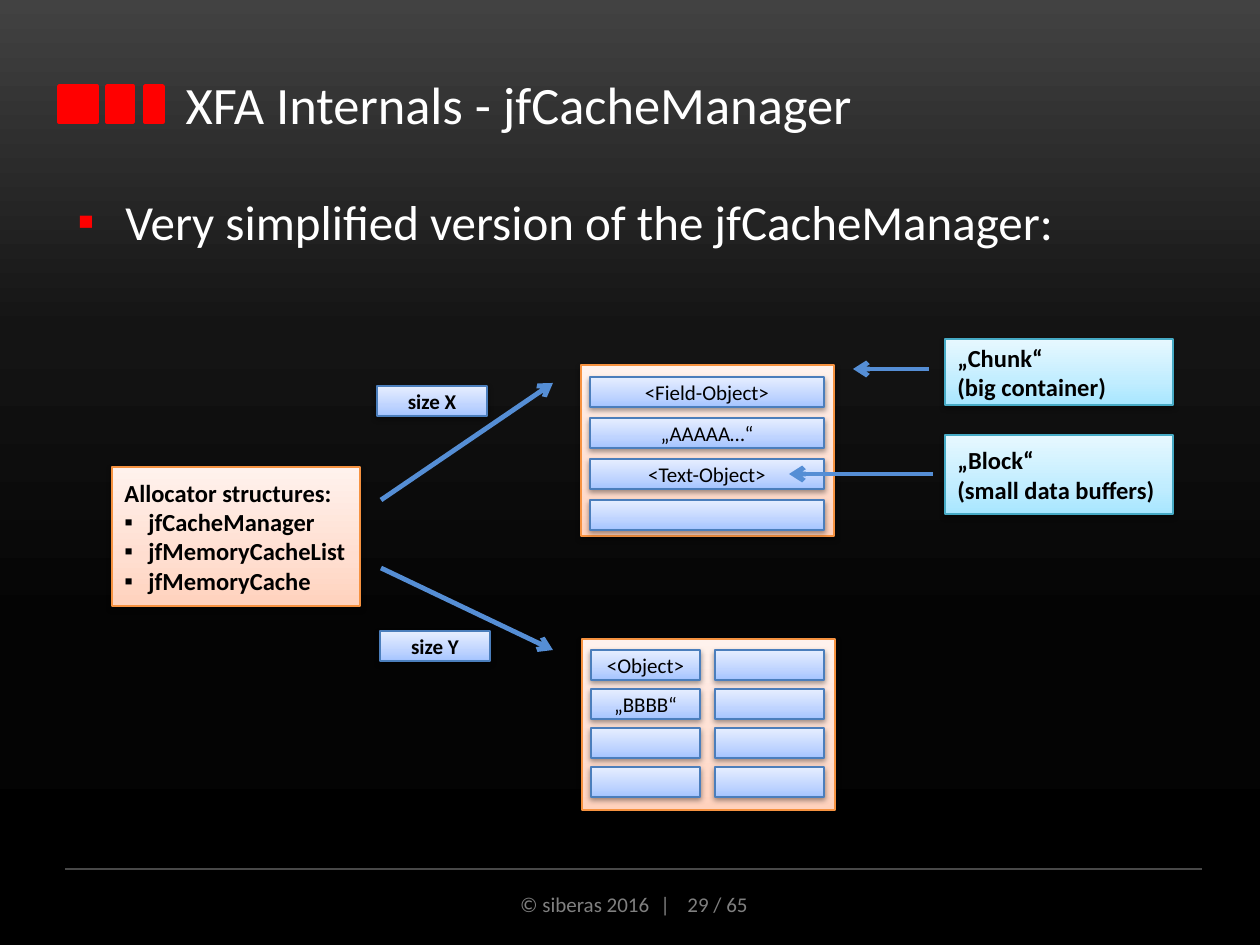
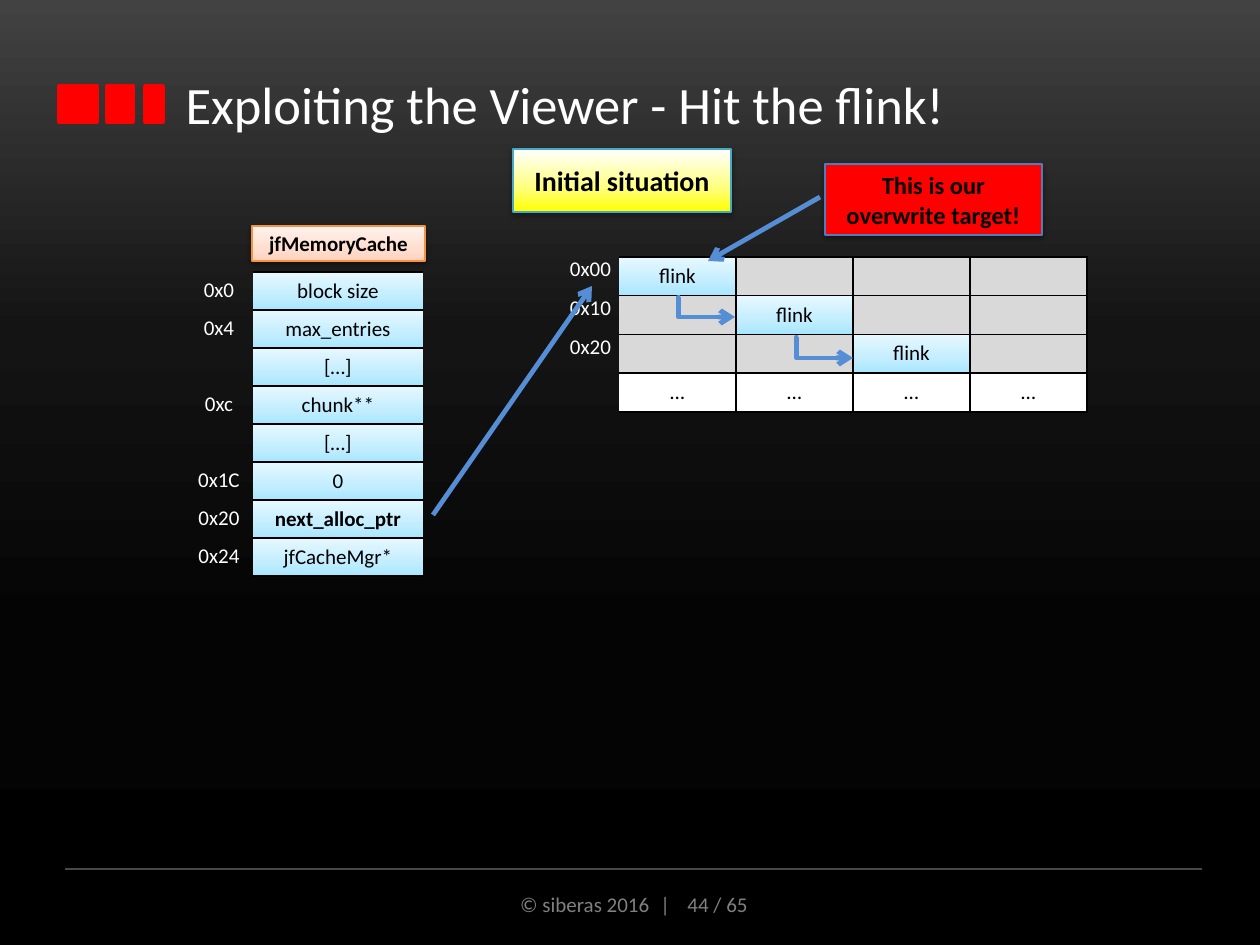
from lxml import etree
from pptx import Presentation
from pptx.dml.color import RGBColor
from pptx.enum.shapes import MSO_CONNECTOR, MSO_SHAPE
from pptx.enum.text import MSO_ANCHOR, PP_ALIGN
from pptx.oxml.ns import qn
from pptx.util import Emu, Pt

PX = 914400 / 126
FONT = "Calibri"
NO_GRID_STYLE = "{2D5ABB26-0587-4C30-8999-92F81FD0307C}"

# Solid colours
BLACK = RGBColor(0x00, 0x00, 0x00)
WHITE = RGBColor(0xFF, 0xFF, 0xFF)
RED = RGBColor(0xFF, 0x00, 0x00)
GRAY = RGBColor(0x80, 0x80, 0x80)
RULE_GRAY = RGBColor(0x48, 0x48, 0x48)
CELL_GRAY = RGBColor(0xD9, 0xD9, 0xD9)
ARROW_BLUE = RGBColor(0x55, 0x8E, 0xD5)
ORANGE_LINE = RGBColor(0xF6, 0x92, 0x40)
BLUE_LINE = RGBColor(0x4B, 0x7E, 0xBC)
CYAN_LINE = RGBColor(0x46, 0xAA, 0xC5)

# Gradients: (position in percent, colour)
BACKDROP = [(0, RGBColor(0x42, 0x42, 0x42)), (35, RGBColor(0x14, 0x14, 0x14)),
            (67, RGBColor(0x04, 0x04, 0x04)), (100, BLACK)]
PEACH = [(0, RGBColor(0xFF, 0xD2, 0xBD)), (35, RGBColor(0xFF, 0xDE, 0xD0)),
         (100, RGBColor(0xFF, 0xF2, 0xED))]
BLUE = [(0, RGBColor(0xA4, 0xC4, 0xFF)), (35, RGBColor(0xBF, 0xD4, 0xFF)),
        (100, RGBColor(0xE6, 0xEE, 0xFF))]
CYAN = [(0, RGBColor(0xA7, 0xE6, 0xFF)), (35, RGBColor(0xC1, 0xED, 0xFF)),
        (100, RGBColor(0xE7, 0xF8, 0xFF))]
YELLOW = [(0, RGBColor(0xFF, 0xFF, 0x00)), (39, RGBColor(0xFF, 0xFF, 0x80)),
          (100, WHITE)]


def px(n):
    return Emu(round(n * PX))


def sub(parent, tag, **attrs):
    return etree.SubElement(parent, qn(tag), attrs)


# Fills and text
def paint(fill, owner, colour, angle=90):
    """Fill with one colour, or with a list of gradient stops."""
    if isinstance(colour, RGBColor):
        fill.solid()
        fill.fore_color.rgb = colour
        return
    fill.gradient()
    fill.gradient_angle = angle
    stops = next(owner.iter(qn("a:gsLst")))
    for stop in list(stops):
        stops.remove(stop)
    for pos, rgb in colour:
        gs = sub(stops, "a:gs", pos=str(pos * 1000))
        sub(gs, "a:srgbClr", val=str(rgb))


def add_bullet(p, indent, colour):
    pPr = p._p.get_or_add_pPr()
    pPr.set("marL", str(px(indent)))
    pPr.set("indent", str(-px(indent)))
    sub(sub(pPr, "a:buClr"), "a:srgbClr", val=str(colour))
    sub(pPr, "a:buFont", typeface="Arial")
    sub(pPr, "a:buChar", char="▪")


def format_runs(p, size, colour, bold=False):
    for r in p.runs:
        r.font.name = FONT
        r.font.size = Pt(size)
        r.font.bold = bold
        r.font.color.rgb = colour


def write(tf, lines, size, colour, bold=False, align=PP_ALIGN.LEFT):
    tf.word_wrap = True
    tf.text = "\n".join(lines)
    for p in tf.paragraphs:
        p.alignment = align
        format_runs(p, size, colour, bold)


# Shapes and lines
def add_box(slide, x, y, w, h, fill, line, lines=(), size=12, bold=False,
            align=PP_ALIGN.CENTER, shadow=True, line_width=0.75):
    sp = slide.shapes.add_shape(MSO_SHAPE.RECTANGLE, px(x), px(y), px(w), px(h))
    paint(sp.fill, sp._element, fill)
    sp.line.color.rgb = line
    sp.line.width = Pt(line_width)
    sp.shadow.inherit = False
    if shadow:
        effects = sp._element.spPr.find(qn("a:effectLst"))
        outer = sub(effects, "a:outerShdw", blurRad="40000", dist="20000",
                    dir="5400000", rotWithShape="0")
        sub(sub(outer, "a:srgbClr", val=str(BLACK)), "a:alpha", val="38000")
    if lines:
        write(sp.text_frame, lines, size, BLACK, bold, align)
        sp.text_frame.vertical_anchor = MSO_ANCHOR.MIDDLE
    return sp


def add_block(slide, x, y, w, text="", bold=False):
    add_box(slide, x, y, w, 30, BLUE, BLUE_LINE, [text] if text else [], bold=bold)


def add_line(slide, start, end, colour, width, kind=MSO_CONNECTOR.STRAIGHT):
    cxn = slide.shapes.add_connector(kind, *(px(n) for n in (*start, *end)))
    cxn.line.color.rgb = colour
    cxn.line.width = Pt(width)
    sub(cxn._element.spPr, "a:effectLst")
    return cxn


def add_arrow(slide, start, end, kind=MSO_CONNECTOR.STRAIGHT):
    cxn = add_line(slide, start, end, ARROW_BLUE, 2.75, kind)
    sub(cxn.line._get_or_add_ln(), "a:tailEnd", type="arrow")
    return cxn


def add_elbow_arrow(slide, start, end):
    """Go straight down from the start, then right to the end."""
    cxn = add_arrow(slide, start, end, MSO_CONNECTOR.ELBOW)
    geom = cxn._element.spPr.find(qn("a:prstGeom"))
    guides = geom.find(qn("a:avLst"))
    if guides is None:
        guides = sub(geom, "a:avLst")
    sub(guides, "a:gd", name="adj1", fmla="val -2800")


# Tables
def add_grid(slide, x, y, widths, row_height, row_count):
    frame = slide.shapes.add_table(row_count, len(widths), px(x), px(y),
                                   px(sum(widths)), px(row_height * row_count))
    table = frame.table
    table.first_row = table.horz_banding = False
    table._tbl.tblPr.find(qn("a:tableStyleId")).text = NO_GRID_STYLE
    for column, width in zip(table.columns, widths):
        column.width = px(width)
    for row in table.rows:
        row.height = px(row_height)
    return table


def set_cell(cell, text, inset, fill=None, borders="", bold=False):
    """Without a fill the cell is a white offset label."""
    cell.margin_left = cell.margin_right = px(inset)
    cell.margin_top = cell.margin_bottom = px(inset)
    cell.vertical_anchor = MSO_ANCHOR.TOP if fill is None else MSO_ANCHOR.MIDDLE
    p = cell.text_frame.paragraphs[0]
    p.text = text
    p.alignment = PP_ALIGN.CENTER
    format_runs(p, 12, WHITE if fill is None else BLACK, bold)
    if not text:
        sub(p._p, "a:endParaRPr", sz="1200")
    tcPr = cell._tc.get_or_add_tcPr()
    for side in borders:
        ln = sub(tcPr, f"a:ln{side}", w="12700")
        sub(sub(ln, "a:solidFill"), "a:srgbClr", val=str(BLACK))
    if fill is None:
        cell.fill.background()
    else:
        paint(cell.fill, cell._tc, fill)


# Parts that every slide has
def add_base_slide(prs, title, number):
    slide = prs.slides.add_slide(prs.slide_layouts[5])
    for x, w in ((59, 38), (107, 26), (145, 18)):
        add_box(slide, x, 86, w, 36, RED, RED, shadow=False, line_width=2)
    add_line(slide, (65, 869), (1202, 869), RULE_GRAY, 0.75)

    footer = slide.shapes.add_textbox(px(425), px(885), px(418), px(38))
    footer.text_frame.word_wrap = True
    p = footer.text_frame.paragraphs[0]
    p.alignment = PP_ALIGN.CENTER
    for text in ("© siberas 2016", " | ", f"{number} / 65"):
        p.add_run().text = text
    format_runs(p, 12, GRAY)
    p.runs[1]._r.get_or_add_rPr().set("spc", "360")

    sp = slide.shapes.title
    sp.left, sp.top, sp.width, sp.height = px(173), px(49), px(1019), px(110)
    write(sp.text_frame, [title], 30, WHITE)
    sp.text_frame.vertical_anchor = MSO_ANCHOR.MIDDLE
    return slide


def build_cache_manager(prs):
    slide = add_base_slide(prs, "XFA Internals - jfCacheManager", 29)
    body = slide.shapes.add_textbox(px(65), px(185), px(1137), px(665))
    write(body.text_frame, ["Very simplified version of the jfCacheManager:"], 28, WHITE)
    add_bullet(body.text_frame.paragraphs[0], 48, RED)

    # Allocator
    allocator = add_box(
        slide, 112, 467, 248, 139, PEACH, ORANGE_LINE,
        ["Allocator structures:", "jfCacheManager", "jfMemoryCacheList", "jfMemoryCache"],
        14, True, PP_ALIGN.LEFT)
    for p in allocator.text_frame.paragraphs[1:]:
        add_bullet(p, 24, BLACK)
    add_arrow(slide, (381, 500), (553, 383))
    add_arrow(slide, (381, 568), (553, 650))

    # Chunk for size Y: two columns of blocks
    add_box(slide, 582, 639, 253, 171, PEACH, ORANGE_LINE)
    labels = {(0, 0): "<Object>", (1, 0): "„BBBB“"}
    for row in range(4):
        for col in range(2):
            add_block(slide, 591 + 124 * col, 650 + 39 * row, 109,
                      labels.get((row, col), ""))

    # Chunk for size X: one column of blocks
    add_box(slide, 581, 365, 253, 171, PEACH, ORANGE_LINE)
    for row, text in enumerate(("<Field-Object>", "„AAAAA…“", "<Text-Object>", "")):
        add_block(slide, 590, 377 + 41 * row, 234, text)

    # Explanations
    for y, h, lines, start, end in (
            (339, 66, ["„Chunk“", "(big container)"], (929, 369), (853, 369)),
            (435, 79, ["„Block“", "(small data buffers)"], (933, 474), (789, 474))):
        add_arrow(slide, start, end)
        add_box(slide, 945, y, 228, h, CYAN, CYAN_LINE, lines, 14, True, PP_ALIGN.LEFT)
    add_block(slide, 377, 386, 110, "size X", True)
    add_block(slide, 380, 631, 110, "size Y", True)


def build_flink(prs):
    slide = add_base_slide(prs, "Exploiting the Viewer - Hit the flink!", 44)

    # Chunk memory: each flink lies one column further right
    chunk = add_grid(slide, 562, 257, [57] + [117] * 4, 38.7, 4)
    for row, offset in enumerate(("0x00", "0x10", "0x20", "")):
        set_cell(chunk.cell(row, 0), offset, 0)
        for col in range(4):
            text, fill = "", CELL_GRAY
            if row == 3:
                text, fill = "…", WHITE
            elif row == col:
                text, fill = "flink", CYAN
            set_cell(chunk.cell(row, col + 1), text, 0, fill, "RTB")

    # Cache structure
    fields = [("0x0", "block size"), ("0x4", "max_entries"), ("", "[…]"),
              ("0xc", "chunk**"), ("", "[…]"), ("0x1C", "0"),
              ("0x20", "next_alloc_ptr"), ("0x24", "jfCacheMgr*")]
    cache = add_grid(slide, 185, 272, [68, 170], 38, len(fields))
    for row, (offset, field) in enumerate(fields):
        set_cell(cache.cell(row, 0), offset, 6)
        set_cell(cache.cell(row, 1), field, 6, CYAN, "TB", field == "next_alloc_ptr")
    add_box(slide, 252, 226, 173, 35, PEACH, ORANGE_LINE, ["jfMemoryCache"], bold=True)

    # Callouts and pointers
    add_elbow_arrow(slide, (798, 337), (853, 358))
    add_arrow(slide, (433, 515), (592, 286))
    add_box(slide, 513, 149, 218, 63, YELLOW, CYAN_LINE, ["Initial situation"], 16, True)
    add_elbow_arrow(slide, (680, 297), (735, 317))
    add_box(slide, 825, 164, 217, 71, RED, BLUE_LINE,
            ["This is our overwrite target!"], 14, True)
    add_arrow(slide, (820, 197), (708, 261))


def main():
    prs = Presentation()
    prs.slide_width, prs.slide_height = px(1260), px(945)
    master = prs.slide_master
    paint(master.background.fill, master._element, BACKDROP, 270)
    build_cache_manager(prs)
    build_flink(prs)
    prs.save("out.pptx")


if __name__ == "__main__":
    main()
